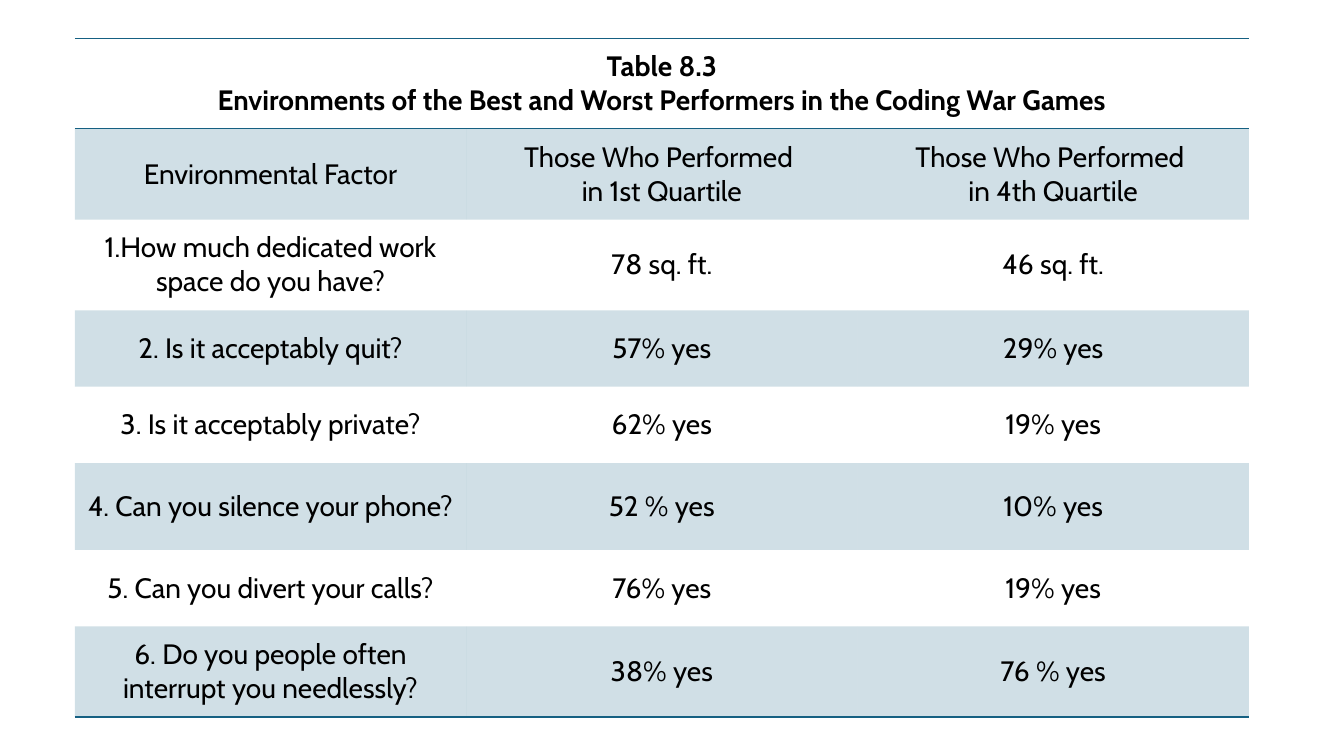
from lxml.etree import SubElement
from pptx import Presentation
from pptx.dml.color import RGBColor
from pptx.enum.text import MSO_ANCHOR as ANCHOR, PP_ALIGN as ALIGN
from pptx.oxml import parse_xml
from pptx.oxml.ns import nsdecls, qn
from pptx.util import Pt

BLUE = "156082"
PLAIN_STYLE = "{2D5ABB26-0587-4C30-8999-92F81FD0307C}"
TITLE = ("Table 8.3",
         "Environments of the Best and Worst Performers in the Coding War Games")
ROWS = [
    ("Environmental Factor", "Those Who Performed \vin 1st Quartile",
     "Those Who Performed \vin 4th Quartile"),
    ("1.How much dedicated work space do you have?", "78 sq. ft.", "46 sq. ft."),
    ("2. Is it acceptably quit?", "57% yes", "29% yes"),
    ("3. Is it acceptably private?", "62% yes", "19% yes"),
    ("4. Can you silence your phone?", "52 % yes", "10% yes"),
    ("5. Can you divert your calls?", "76% yes", "19% yes"),
    ("6. Do you people often interrupt you needlessly?", "38% yes", "76 % yes"),
]
HEIGHTS = [64.8, 64.8, 64.8, 54.6, 54.6, 62, 54.6, 64.8]
COL_W = 279.5


def color(hex_value):
    return RGBColor.from_string(hex_value)


def write(cell, text, bold=False):
    cell.vertical_anchor = ANCHOR.MIDDLE
    tf = cell.text_frame
    tf.text = text
    for p in tf.paragraphs:
        p.alignment = ALIGN.CENTER
        p.font.name = "Cabin"
        p.font.size = Pt(20)
        p.font.bold = bold
        p.font.color.rgb = color("000000")


def tint(cell):
    """Fill with blue at 20% opacity."""
    cell.fill.solid()
    cell.fill.fore_color.rgb = color(BLUE)
    clr = cell.fill._xPr.find(".//" + qn("a:srgbClr"))
    SubElement(clr, qn("a:alpha"), val="20000")


def rule(cell, side):
    """Draw a 1 pt line on side T or B; call B before T."""
    ln = parse_xml(
        f'<a:ln{side} {nsdecls("a")} w="{Pt(1)}"><a:solidFill>'
        f'<a:srgbClr val="{BLUE}"/></a:solidFill></a:ln{side}>')
    cell._tc.get_or_add_tcPr().insert(0, ln)


def add_plain_table(slide, left, top):
    n_rows, n_cols = len(HEIGHTS), len(ROWS[0])
    table = slide.shapes.add_table(n_rows, n_cols, Pt(left), Pt(top),
                                   Pt(COL_W * n_cols), Pt(sum(HEIGHTS))).table
    table.first_row = table.horz_banding = False
    table._tbl.tblPr.find(qn("a:tableStyleId")).text = PLAIN_STYLE
    for col in table.columns:
        col.width = Pt(COL_W)
    for row, height in zip(table.rows, HEIGHTS):
        row.height = Pt(height)
    return table


def main():
    prs = Presentation()
    prs.slide_width, prs.slide_height = Pt(960), Pt(540)
    slide = prs.slides.add_slide(prs.slide_layouts[6])
    table = add_plain_table(slide, 53.5, 27.2)

    # Title row, ruled above and below
    title = table.cell(0, 0)
    title.merge(table.cell(0, len(ROWS[0]) - 1))
    write(title, "\n".join(TITLE), bold=True)
    for cell in table.rows[0].cells:
        cell.fill.background()
        rule(cell, "B")
        rule(cell, "T")

    # Column heads and answers, every other row tinted
    for i, texts in enumerate(ROWS, 1):
        for cell, text in zip(table.rows[i].cells, texts):
            write(cell, text)
            if i % 2:
                tint(cell)
            else:
                cell.fill.background()
            if i == len(ROWS):
                rule(cell, "B")

    prs.save("out.pptx")


if __name__ == "__main__":
    main()
